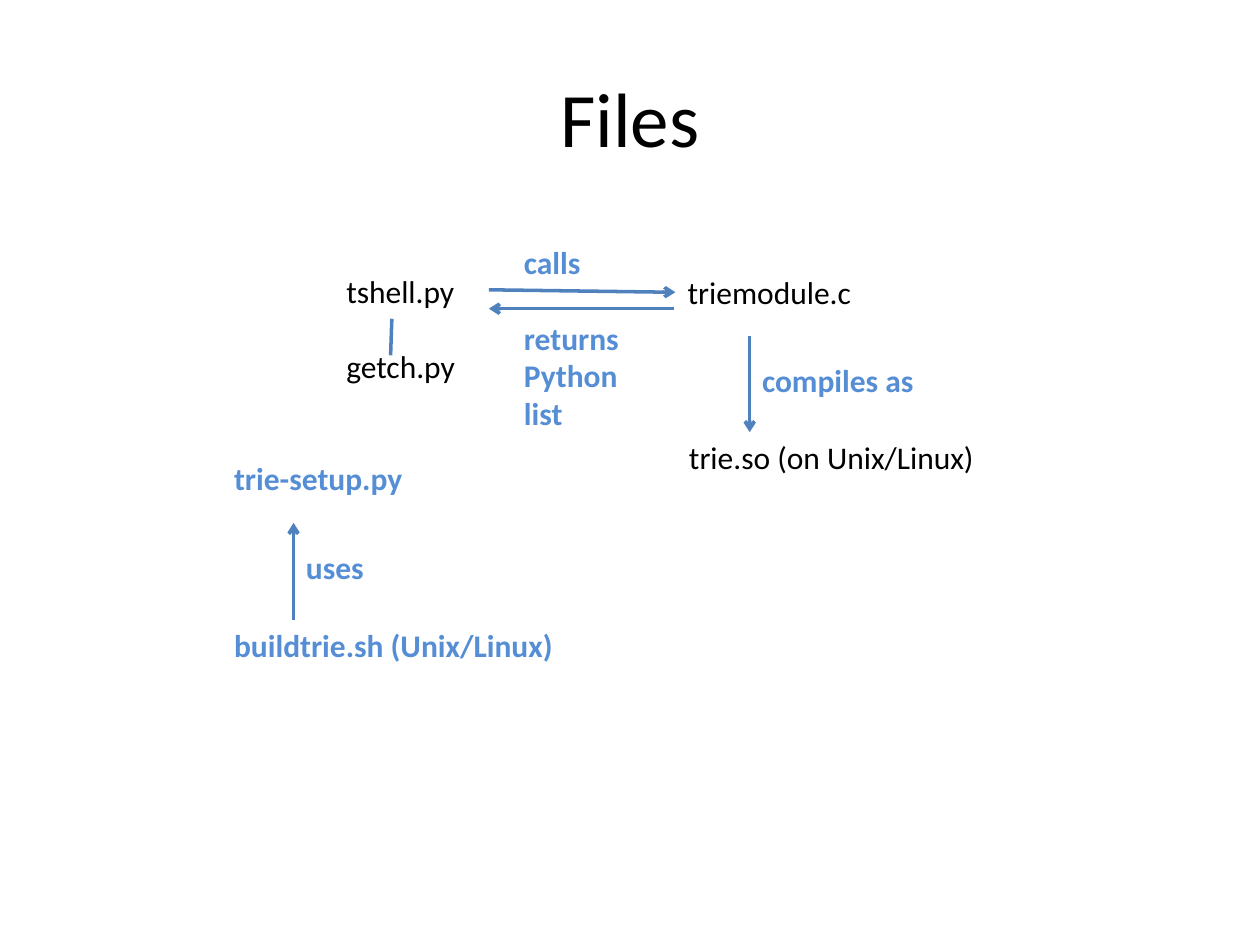
from lxml.etree import SubElement
from pptx import Presentation
from pptx.dml.color import RGBColor
from pptx.enum.shapes import MSO_CONNECTOR as Connector
from pptx.enum.text import MSO_ANCHOR as Anchor, MSO_AUTO_SIZE as AutoSize, PP_ALIGN as Align
from pptx.oxml.ns import qn
from pptx.util import Inches, Pt

COLORS = {"ink": "000000", "note": "558ED5", "line": "4F81BD"}
COLUMNS, ROWS = 100, 75
BLANK_LAYOUT = 6


class FileDiagram:
    """Places elements on a page divided into COLUMNS by ROWS cells."""

    formats = {
        "title": {"name": "Calibri", "size": Pt(44), "bold": False},
        "file": {"name": "Calibri", "size": Pt(18), "bold": False},
        "note": {"name": "Calibri", "size": Pt(18), "bold": True},
    }
    text_colors = {"title": "ink", "file": "ink", "note": "note"}

    def __init__(self, deck):
        self.page = deck.slides.add_slide(deck.slide_layouts[BLANK_LAYOUT])
        self.cell_width = deck.slide_width / COLUMNS
        self.cell_height = deck.slide_height / ROWS

    def to_lengths(self, column, row):
        return round(column * self.cell_width), round(row * self.cell_height)

    def text(self, lines, style, column, row, width, height=4, gap=0):
        """Add one paragraph per line, with gap points between them."""
        box = self.page.shapes.add_textbox(
            *self.to_lengths(column, row), *self.to_lengths(width, height))
        frame = box.text_frame
        frame.word_wrap = False
        frame.auto_size = AutoSize.SHAPE_TO_FIT_TEXT
        for index, line in enumerate(lines):
            para = frame.paragraphs[0] if index == 0 else frame.add_paragraph()
            if index:
                para.space_before = Pt(gap)
            span = para.add_run()
            span.text = line
            for name, value in self.formats[style].items():
                setattr(span.font, name, value)
            span.font.color.rgb = RGBColor.from_string(COLORS[self.text_colors[style]])
        return frame

    def title(self, wording, column, row, width, height):
        frame = self.text([wording], "title", column, row, width, height)
        frame.auto_size = AutoSize.NONE
        frame.word_wrap = True
        frame.vertical_anchor = Anchor.MIDDLE
        frame.paragraphs[0].alignment = Align.CENTER

    def line(self, start, end, arrow=True):
        connector = self.page.shapes.add_connector(
            Connector.STRAIGHT, *self.to_lengths(*start), *self.to_lengths(*end))
        connector.line.width = Pt(2)
        connector.line.color.rgb = RGBColor.from_string(COLORS["line"])
        if arrow:
            SubElement(connector.line._get_or_add_ln(), qn("a:tailEnd"), type="arrow")
        SubElement(connector._element.spPr, qn("a:effectLst"))


def main():
    deck = Presentation()
    deck.slide_width, deck.slide_height = Inches(10), Inches(7.5)
    diagram = FileDiagram(deck)
    diagram.title("Files", 5, 3, 90, 12.5)

    diagram.text(["tshell.py", "getch.py"], "file", 26.5, 21.1, 10.7, 10, gap=21.5)
    diagram.text(["triemodule.c"], "file", 53.6, 21.2, 15)
    diagram.text(["trie.so (on Unix/Linux)"], "file", 53.7, 34.3, 24.6)

    diagram.text(["trie-setup.py"], "note", 17.6, 35.9, 15.4)
    diagram.text(["buildtrie.sh (Unix/Linux)"], "note", 17.6, 49.2, 27.3)
    diagram.text(["uses"], "note", 23.3, 43, 6.6)
    diagram.text(["compiles as"], "note", 59.5, 28.2, 14)
    diagram.text(["calls"], "note", 40.6, 18.8, 6.5)
    diagram.text(["returns", "Python list"], "note", 40.6, 24.8, 13, 7)

    diagram.line((59.5, 26.7), (59.5, 34.3))
    diagram.line((23.3, 49.2), (23.3, 41.5))
    diagram.line((38.8, 23), (53.6, 23.2))
    diagram.line((53.5, 24.5), (38.8, 24.5))
    diagram.line((31.1, 25.3), (31, 28.2), arrow=False)

    deck.save("out.pptx")


if __name__ == "__main__":
    main()
